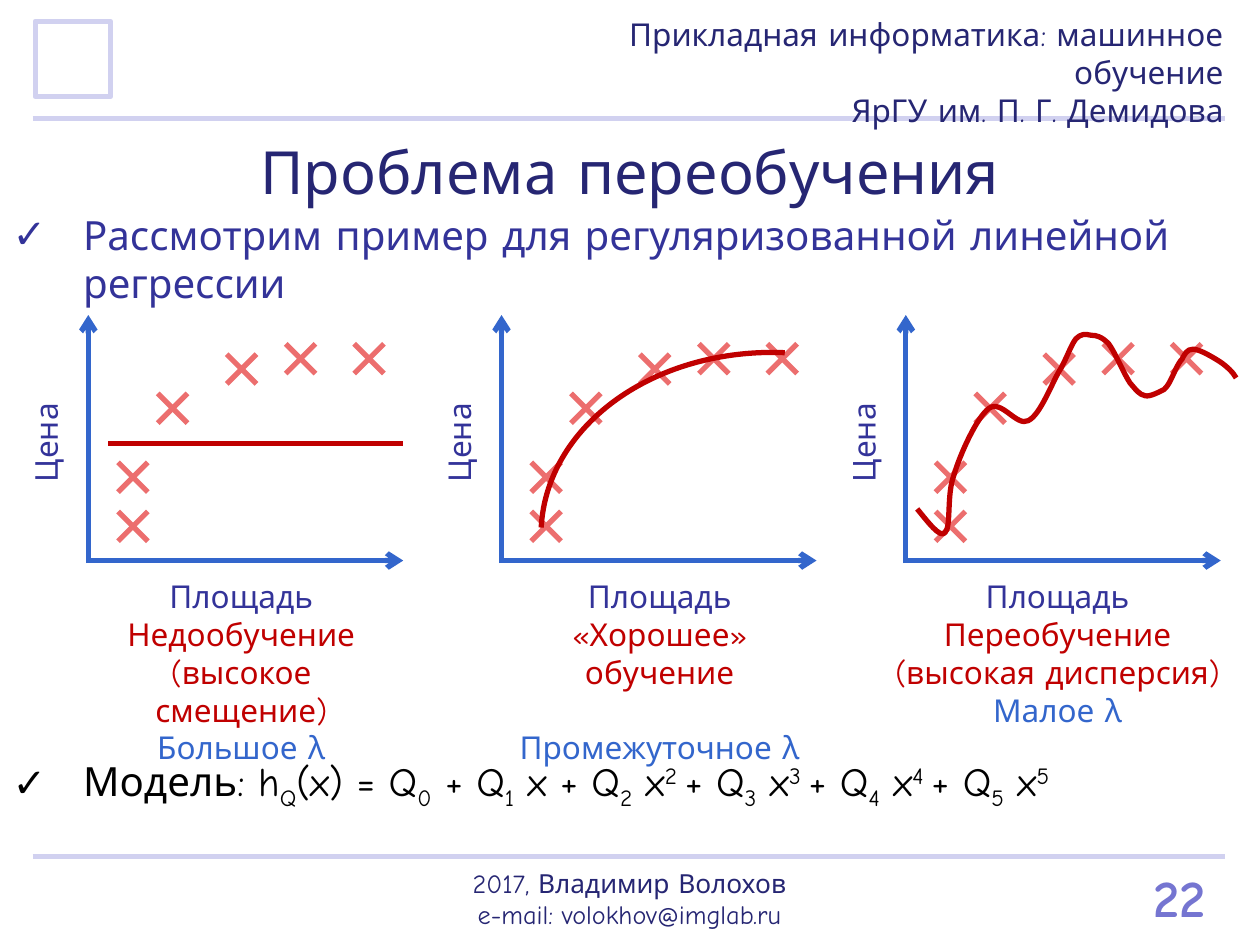
from lxml import etree
from pptx import Presentation
from pptx.dml.color import RGBColor
from pptx.enum.shapes import MSO_CONNECTOR, MSO_SHAPE
from pptx.enum.text import MSO_ANCHOR, MSO_AUTO_SIZE, PP_ALIGN
from pptx.oxml.ns import qn
from pptx.util import Cm, Pt

STRAIGHT = MSO_CONNECTOR.STRAIGHT
RECT, ARC = MSO_SHAPE.RECTANGLE, MSO_SHAPE.ARC
LEFT, CENTER, RIGHT = PP_ALIGN.LEFT, PP_ALIGN.CENTER, PP_ALIGN.RIGHT
TOP, MIDDLE = MSO_ANCHOR.TOP, MSO_ANCHOR.MIDDLE
NO_AUTOFIT = MSO_AUTO_SIZE.NONE

FONT = "Comic Neue"
NAVY, INDIGO, BLUE = "262673", "333399", "3366CC"
PALE, VIOLET = "D1D1F0", "7575D1"
RED, PINK, BLACK = "C00000", "EC6E6E", "000000"

rgb = RGBColor.from_string


def add_line(x1, y1, x2, y2, color, arrow=False):
    c = s.shapes.add_connector(STRAIGHT, Cm(x1), Cm(y1), Cm(x2), Cm(y2))
    c.line.color.rgb = rgb(color)
    c.line.width = Pt(3)
    if arrow:
        etree.SubElement(c.line._get_or_add_ln(), qn("a:tailEnd"), type="arrow")
    etree.SubElement(c._element.spPr, qn("a:effectLst"))


def write(sp, box, lines, size, align=CENTER, anchor=TOP):
    """Place a text shape and fill it with (text, colour) paragraphs."""
    sp.left, sp.top, sp.width, sp.height = [Cm(v) for v in box]
    tf = sp.text_frame
    tf.word_wrap = True
    tf.auto_size = NO_AUTOFIT
    tf.vertical_anchor = anchor
    tf.text = "\n".join(text for text, color in lines)
    for p, (text, color) in zip(tf.paragraphs, lines):
        p.alignment = align
        p.space_before = Pt(0)
        for r in p.runs:
            r.font.name = FONT
            r.font.size = Pt(size)
            r.font.color.rgb = rgb(color)
    return tf


prs = Presentation()
prs.slide_width, prs.slide_height = Cm(25.4), Cm(19.05)
s = prs.slides.add_slide(prs.slide_layouts[3])
title, intro, model = s.placeholders

# Frame: rules and corner square
for y in (2.39, 17.27):
    add_line(0.66, y, 24.69, y, PALE)
sp = s.shapes.add_shape(RECT, Cm(0.71), Cm(0.43), Cm(1.52), Cm(1.52))
sp.shadow.inherit = False
sp.fill.background()
sp.line.color.rgb = rgb(PALE)
sp.line.width = Pt(3)

# Header, footer and page number
for box, lines, size, align, anchor in (
    ((9.65, 0.18, 15.27, 1.8),
     ["Прикладная информатика: машинное обучение", "ЯрГУ им. П. Г. Демидова"],
     18, RIGHT, TOP),
    ((8.92, 17.48, 7.54, 1.27),
     ["2017, Владимир Волохов", "e-mail: volokhov@imglab.ru"], 15, CENTER, MIDDLE),
):
    sp = s.shapes.add_textbox(0, 0, 0, 0)
    write(sp, box, [(text, NAVY) for text in lines], size, align, anchor)
sp = s.shapes.add_textbox(0, 0, 0, 0)
tf = write(sp, (23.01, 17.32, 1.8, 1.55), [("22", VIOLET)], 30, LEFT)
tf.paragraphs[0].runs[0].font.bold = True

# Title and the two list items
write(title, (0, 2.59, 25.4, 1.7), [("Проблема переобучения", NAVY)], 34)
write(intro, (0, 4.11, 25.4, 2.24),
      [("Рассмотрим пример для регуляризованной линейной регрессии", INDIGO)], 23, LEFT)
tf = write(model, (0, 15.11, 25.4, 1.27), [("Модель: h", BLACK)], 23, LEFT)

# Polynomial with sub- and superscripts
SUB, BASE, SUPER = -25000, 0, 30000
terms = [("Q", SUB), ("(x) = Q", BASE), ("0", SUB), (" + Q", BASE), ("1", SUB),
         (" x + Q", BASE)]
for n in range(2, 6):
    terms += [(f"{n}", SUB), (" x", BASE)]
    terms += [(f"{n} ", SUPER), ("+ Q", BASE)] if n < 5 else [(f"{n}", SUPER)]
for text, baseline in terms:
    r = tf.paragraphs[0].add_run()
    r.text = text
    r.font.name = FONT
    r.font.size = Pt(23)
    r.font.color.rgb = rgb(BLACK)
    r._r.get_or_add_rPr().set("baseline", str(baseline))

# Check-mark bullets
for sp in (intro, model):
    pPr = sp.text_frame.paragraphs[0]._p.get_or_add_pPr()
    pPr.set("marL", str(Cm(1.42)))
    pPr.set("indent", str(Cm(-1.42)))
    etree.SubElement(pPr, qn("a:buChar"), char="✓")

# Three plots: axes, data crosses, labels
CROSS = 0.6
crosses = [(0.6, 10.31), (0.6, 9.32), (1.4, 7.93), (2.79, 7.14), (3.98, 6.93),
           (5.36, 6.93)]
plots = [
    (1.78, 1.4, 6.93, ["Недообучение (высокое смещение)"], "Большое λ"),
    (10.11, 9.73, 7.14, ["«Хорошее» обучение"], "Промежуточное λ"),
    (18.26, 17.65, 7.34, ["Переобучение", "(высокая дисперсия)"], "Малое λ"),
]
for x0, left, width, verdict, amount in plots:
    add_line(x0, 11.35, x0, 6.35, BLUE, arrow=True)
    add_line(x0, 11.3, x0 + 6.35, 11.3, BLUE, arrow=True)
    for dx, y in crosses:
        x = x0 + dx
        add_line(x, y, x + CROSS, y + CROSS, PINK)
        add_line(x, y + CROSS, x + CROSS, y, PINK)
    sp = s.shapes.add_textbox(0, 0, 0, 0)
    write(sp, (x0 - 3.25, 8.41, 4.78, 1.02), [("Цена", INDIGO)], 18)
    sp.rotation = 270
    sp = s.shapes.add_textbox(0, 0, 0, 0)
    lines = [("Площадь", INDIGO)] + [(v, RED) for v in verdict] + [(amount, BLUE)]
    tf = write(sp, (left, 11.51, width, 3.33), lines, 18)
    if amount == "Промежуточное λ":
        tf.paragraphs[-1].space_before = Pt(21.5)

# Underfit: flat line
add_line(2.18, 8.94, 8.13, 8.94, RED)

# Good fit: quarter arc
arc = s.shapes.add_shape(ARC, Cm(11.91), Cm(6.1), Cm(7.54), Cm(9.55))
arc.adjustments[0], arc.adjustments[1] = 162, 215.55
arc.rotation = 272.9

# Overfit: Bezier curve, a start point and then three points per segment
curve = [
    (18.49, 10.26),
    (18.72, 10.54), (18.95, 10.85), (19.05, 10.74),
    (19.18, 10.62), (19.08, 9.98), (19.23, 9.58),
    (19.35, 9.17), (19.69, 8.41), (19.94, 8.23),
    (20.19, 8.05), (20.5, 8.61), (20.73, 8.48),
    (20.98, 8.36), (21.21, 7.7), (21.39, 7.42),
    (21.54, 7.14), (21.59, 6.96), (21.69, 6.83),
    (21.79, 6.73), (21.87, 6.73), (22, 6.76),
    (22.1, 6.76), (22.2, 6.78), (22.35, 6.93),
    (22.48, 7.11), (22.66, 7.54), (22.78, 7.72),
    (22.91, 7.87), (22.96, 7.95), (23.09, 7.98),
    (23.19, 8), (23.37, 7.9), (23.47, 7.85),
    (23.55, 7.77), (23.57, 7.72), (23.62, 7.62),
    (23.67, 7.52), (23.75, 7.32), (23.83, 7.24),
    (23.88, 7.14), (23.93, 7.04), (24.05, 7.04),
    (24.18, 7.04), (24.43, 7.19), (24.59, 7.29),
    (24.74, 7.39), (24.87, 7.52), (24.92, 7.62),
]
points = [(Cm(x), Cm(y)) for x, y in curve]
fb = s.shapes.build_freeform(*points[0])
fb.add_line_segments(points[1:], close=False)
wave = fb.convert_to_shape()
outline = wave._element.find(".//" + qn("a:path"))
segments = outline.findall(qn("a:lnTo"))
for i in range(0, len(segments), 3):
    bezier = etree.SubElement(outline, qn("a:cubicBezTo"))
    for segment in segments[i:i + 3]:
        bezier.append(segment[0])
        outline.remove(segment)

for sp in (arc, wave):
    sp.shadow.inherit = False
    sp.fill.background()
    sp.line.color.rgb = rgb(RED)
    sp.line.width = Pt(3)

prs.save("out.pptx")
